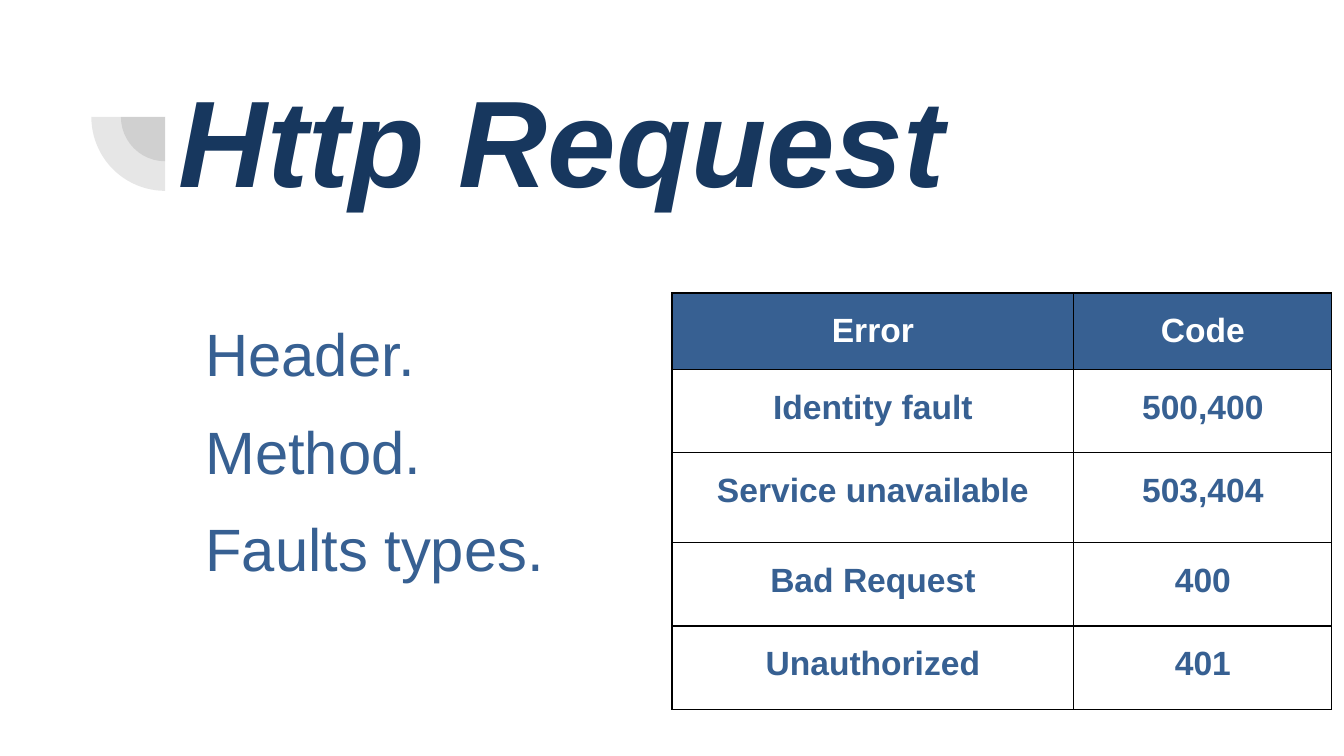
from lxml import etree
from pptx import Presentation
from pptx import util as u
from pptx.dml.color import RGBColor
from pptx.enum import shapes, text
from pptx.oxml import ns

COLORS = {"navy": "17375E", "blue": "376092", "white": "FFFFFF",
          "gray": "424242", "black": "000000"}


class Deck:
    font = "Arial"
    inset = u.Inches(0.1)

    def __init__(self, width, height):
        self.prs = Presentation()
        self.prs.slide_width = u.Inches(width)
        self.prs.slide_height = u.Inches(height)
        self.slide = self.prs.slides.add_slide(self.prs.slide_layouts[6])

    def color(self, name):
        return RGBColor.from_string(COLORS[name])

    def style(self, paragraph, size, color, bold=False, italic=False):
        for run in paragraph.runs:
            run.font.name = self.font
            run.font.size = u.Pt(size)
            run.font.bold = bold
            run.font.italic = italic
            run.font.color.rgb = self.color(color)

    def quarter(self, center_x, center_y, radius, alpha):
        pie = self.slide.shapes.add_shape(
            shapes.MSO_SHAPE.PIE, u.Inches(center_x - radius),
            u.Inches(center_y - radius), u.Inches(2 * radius), u.Inches(2 * radius))
        pie.adjustments[0], pie.adjustments[1] = 108, 162
        pie.rotation = 270
        pie.shadow.inherit = False
        pie.line.fill.background()
        pie.fill.solid()
        pie.fill.fore_color.rgb = self.color("gray")
        tint = pie.fill._xPr.find(".//" + ns.qn("a:srgbClr"))
        etree.SubElement(tint, ns.qn("a:alpha")).set("val", str(alpha * 1000))

    def text(self, box, lines, size, color, before=0, spacing=1.0, **look):
        frame = self.slide.shapes.add_textbox(*map(u.Inches, box)).text_frame
        frame.word_wrap = True
        frame.margin_left = frame.margin_right = self.inset
        frame.margin_top = frame.margin_bottom = self.inset
        frame.text = "\n".join(lines)
        for paragraph in frame.paragraphs:
            paragraph.space_before = u.Pt(before)
            paragraph.line_spacing = spacing
            self.style(paragraph, size, color, **look)

    def borders(self, cell, width):
        props = cell._tc.get_or_add_tcPr()
        for place, side in enumerate(("lnL", "lnR", "lnT", "lnB")):
            line = etree.Element(ns.qn("a:" + side), w=str(u.Pt(width)))
            fill = etree.SubElement(line, ns.qn("a:solidFill"))
            etree.SubElement(fill, ns.qn("a:srgbClr")).set("val", COLORS["black"])
            props.insert(place, line)

    def table(self, left, top, widths, heights, rows):
        grid = self.slide.shapes.add_table(
            len(rows), len(widths), u.Inches(left), u.Inches(top),
            u.Inches(sum(widths)), u.Inches(sum(heights))).table
        for column, width in zip(grid.columns, widths):
            column.width = u.Inches(width)
        for r, (height, values) in enumerate(zip(heights, rows)):
            grid.rows[r].height = u.Inches(height)
            for c, value in enumerate(values):
                self.cell(grid.cell(r, c), value, header=r == 0)

    def cell(self, cell, value, header):
        cell.margin_left = cell.margin_right = self.inset
        cell.margin_top = cell.margin_bottom = self.inset
        if header:
            cell.fill.solid()
            cell.fill.fore_color.rgb = self.color("blue")
        else:
            cell.fill.background()
        self.borders(cell, 0.75)
        cell.text_frame.text = value
        paragraph = cell.text_frame.paragraphs[0]
        paragraph.alignment = text.PP_ALIGN.CENTER
        paragraph.line_spacing = 1.15
        self.style(paragraph, 18, "white" if header else "blue", bold=True)


deck = Deck(10, 45 / 8)
for radius in (0.33, 0.55):
    deck.quarter(1.23, 0.87, radius, 13)
deck.text((1.23, 0.38, 7.69, 1.09), ["Http Request"], 66, "navy",
          before=6, bold=True, italic=True)
deck.text((1.43, 2.18, 7.69, 2.78), ["Header.", "Method.", "Faults types."],
          32, "blue", before=8, spacing=1.15)
deck.table(5, 2.18, (2.99, 1.92), (0.57, 0.62, 0.67, 0.62, 0.62), [
    ("Error", "Code"),
    ("Identity fault", "500,400"),
    ("Service unavailable", "503,404"),
    ("Bad Request", "400"),
    ("Unauthorized", "401"),
])
deck.prs.save("out.pptx")
